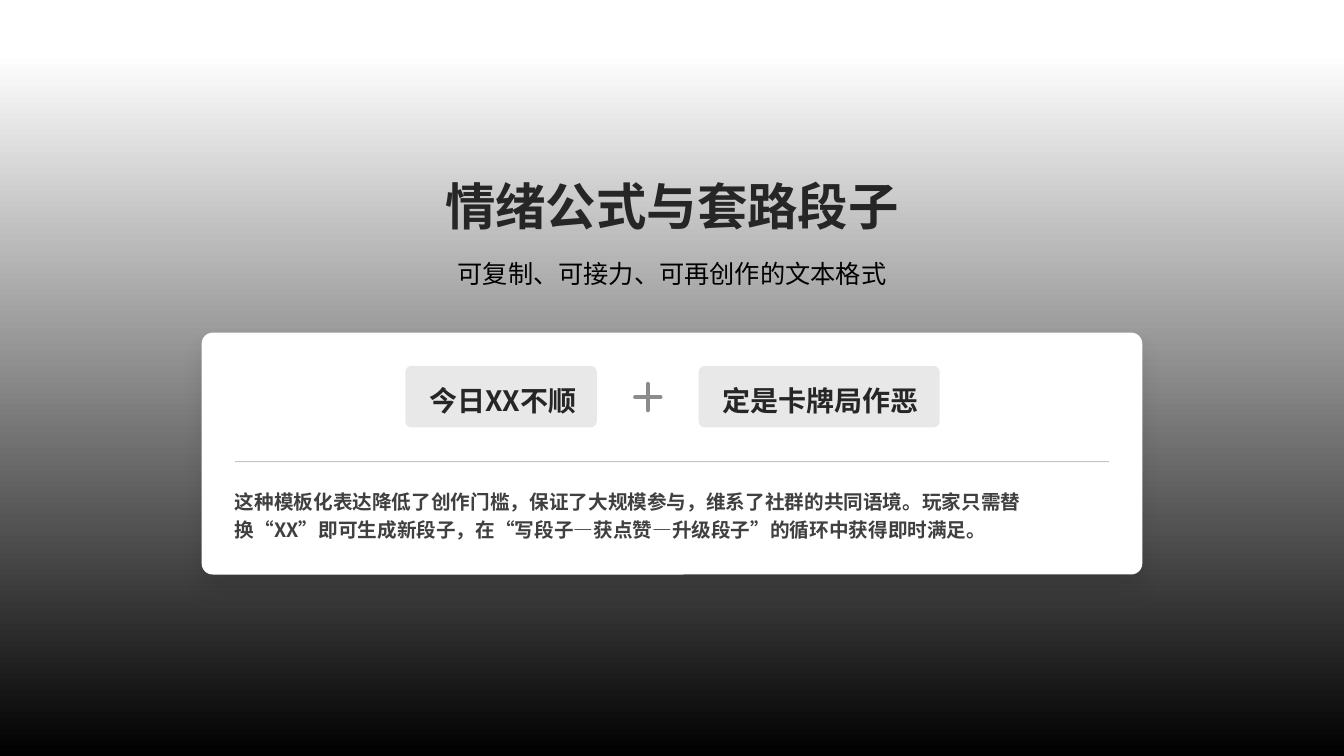
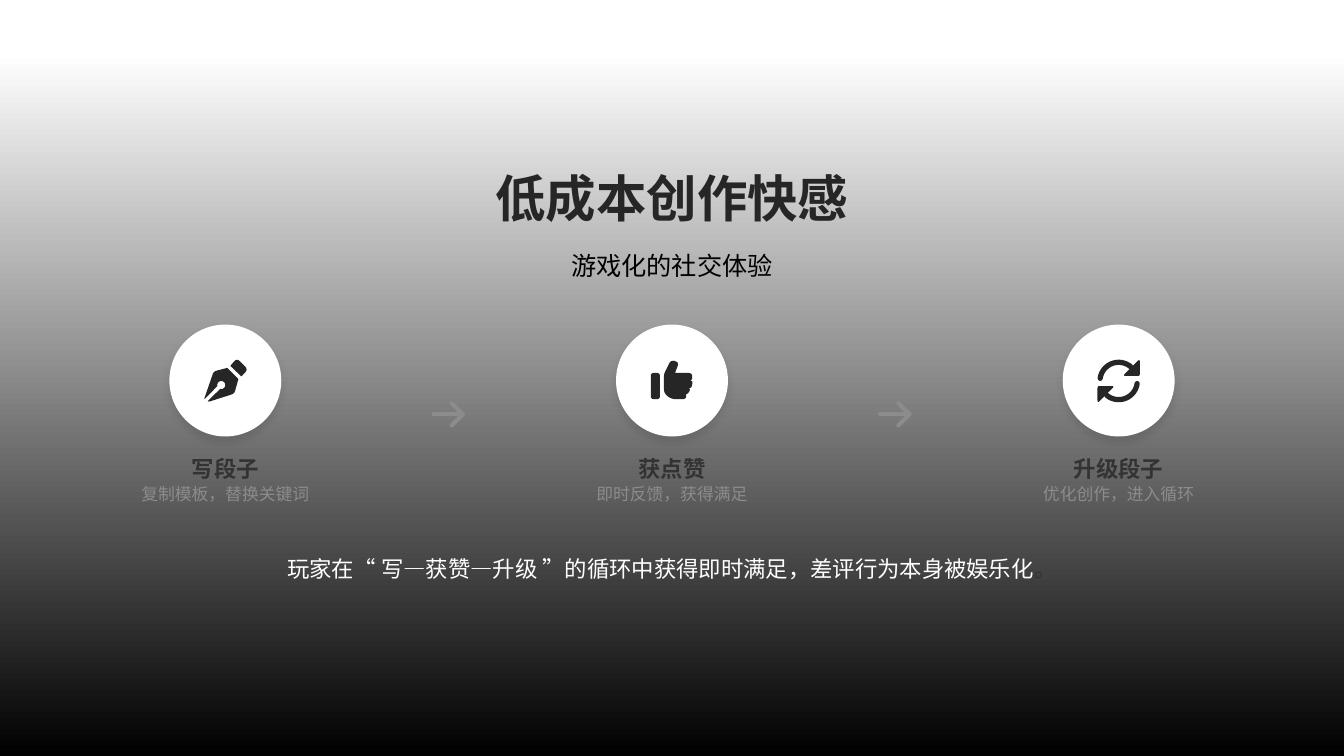
import math

import pptx
import pptx.dml.color
import pptx.enum.shapes
import pptx.enum.text
import pptx.oxml
import pptx.oxml.ns
import pptx.util
from lxml import etree

Inches = pptx.util.Inches
Pt = pptx.util.Pt
qn = pptx.oxml.ns.qn
MSO_SHAPE = pptx.enum.shapes.MSO_SHAPE
ALIGN = pptx.enum.text.PP_ALIGN

FONT = "Noto Sans CJK SC"
SLIDE_W, SLIDE_H = 13.33, 7.5
CENTER = SLIDE_W / 2
COLORS = {
    "white": "FFFFFF",
    "black": "000000",
    "ink": "262626",
    "label": "333333",
    "body": "404040",
    "grey": "8C8C8C",
}
STEP_GAP = 4.43
STEPS = [
    ("写段子", "复制模板，替换关键词"),
    ("获点赞", "即时反馈，获得满足"),
    ("升级段子", "优化创作，进入循环"),
]


def rgb(name):
    return pptx.dml.color.RGBColor.from_string(COLORS[name])


def set_alpha(sp, percent):
    for clr in sp._element.spPr.iter(qn("a:srgbClr")):
        etree.SubElement(clr, qn("a:alpha")).set("val", str(percent * 1000))


def add_shadow(sp, blur, dist):
    effects = sp._element.spPr.find(qn("a:effectLst"))
    shadow = etree.SubElement(effects, qn("a:outerShdw"), blurRad=str(Pt(blur)),
                              dist=str(Pt(dist)), dir="5400000", algn="t", rotWithShape="0")
    clr = etree.SubElement(shadow, qn("a:srgbClr"), val=COLORS["black"])
    etree.SubElement(clr, qn("a:alpha"), val="10000")


def write_text(tf, text, size=12, color="ink", bold=False, align=ALIGN.CENTER,
               spacing=1.2, insets=(0, 0, 0, 0)):
    tf.word_wrap = True
    tf.vertical_anchor = pptx.enum.text.MSO_ANCHOR.MIDDLE
    tf.margin_left, tf.margin_top, tf.margin_right, tf.margin_bottom = map(Inches, insets)
    p = tf.paragraphs[0]
    p.alignment = align
    p.line_spacing = spacing
    runs = [(text, color)] if isinstance(text, str) else text
    for run_text, run_color in runs:
        r = p.add_run()
        r.text = run_text
        r.font.size = Pt(size)
        r.font.bold = bold
        r.font.color.rgb = rgb(run_color)
        r.font.name = FONT
        etree.SubElement(r._r.get_or_add_rPr(), qn("a:ea"), typeface=FONT)


def add_text(s, text, x, y, w, h, **style):
    box = s.shapes.add_textbox(Inches(x), Inches(y), Inches(w), Inches(h))
    write_text(box.text_frame, text, **style)


def add_centered(s, text, cx, y, w, h, **style):
    add_text(s, text, cx - w / 2, y, w, h, **style)


def add_panel(s, kind, x, y, w, h, color, radius=None):
    sp = s.shapes.add_shape(kind, Inches(x), Inches(y), Inches(w), Inches(h))
    if radius:
        sp.adjustments[0] = radius / min(w, h)
    sp.shadow.inherit = False
    sp.fill.solid()
    sp.fill.fore_color.rgb = rgb(color)
    sp.line.fill.background()
    return sp


def add_pill(s, text, x, w):
    sp = add_panel(s, MSO_SHAPE.ROUNDED_RECTANGLE, x, 3.63, w, 0.61, "grey", radius=0.06)
    set_alpha(sp, 20)
    write_text(sp.text_frame, text, size=20, bold=True, align=ALIGN.LEFT,
               insets=(0.22, 0.11, 0, 0.11))


def arc(cx, cy, r, start, end, count=24):
    angles = [math.radians(start + (end - start) * i / count) for i in range(count + 1)]
    return [(cx + r * math.cos(a), cy + r * math.sin(a)) for a in angles]


def rounded(corners):
    points = []
    for i, (x, y, r) in enumerate(corners):
        ends = []
        for nx, ny, _ in (corners[i - 1], corners[(i + 1) % len(corners)]):
            length = math.dist((x, y), (nx, ny))
            t = min(r / length, 0.5)
            ends.append((x + (nx - x) * t, y + (ny - y) * t))
        (ax, ay), (bx, by) = ends
        for t in (0, 0.25, 0.5, 0.75, 1):
            a, m, b = (1 - t) ** 2, 2 * t * (1 - t), t ** 2
            points.append((a * ax + m * x + b * bx, a * ay + m * y + b * by))
    return points


def add_icon(s, x, y, contours, color, stroke=None):
    placed = [[(Inches(x + px / 100), Inches(y + py / 100)) for px, py in contour]
              for contour in contours]
    builder = s.shapes.build_freeform(*placed[0][0], scale=1.0)
    for i, points in enumerate(placed):
        if i:
            builder.move_to(*points[0])
        builder.add_line_segments(points[1:], close=stroke is None)
    sp = builder.convert_to_shape()
    sp.shadow.inherit = False
    if stroke is None:
        sp.fill.solid()
        sp.fill.fore_color.rgb = rgb(color)
        sp.line.fill.background()
    else:
        sp.fill.background()
        sp.line.color.rgb = rgb(color)
        sp.line.width = Pt(stroke)
        ln = sp.line._get_or_add_ln()
        ln.set("cap", "rnd")
        etree.SubElement(ln, qn("a:round"))


def add_pen(s, x, y):
    cap = rounded([(26, 6, 0.5), (37, 16.5, 0.5), (43.5, 9.5, 4), (32.5, -1.5, 4)])
    nib = [(23, 8)] + rounded([(23, 8, 0), (9.5, 11.5, 3), (0, 39, 1), (1.5, 38, 0)])[5:]
    hole = arc(17, 25, 4, 165, 465)
    tail = rounded([(3.5, 41, 0), (5, 41.5, 1), (30, 33.5, 3), (34, 19, 0)])
    add_icon(s, x, y, [cap, nib + hole + tail], "ink")


def add_thumb(s, x, y):
    cuff = rounded([(0, 13, 3), (9, 13, 3), (9, 39, 3), (0, 39, 3)])
    hand = rounded([
        (13, 14, 3), (20, 0, 4), (28, 2.5, 4), (24, 13, 0), (41, 13, 4),
        (41, 19.5, 2), (39, 20.3, 0.3), (41.5, 21.5, 1.5), (40.5, 27.5, 3),
        (38, 28, 0.3), (39, 30, 1.5), (36.5, 33.8, 1.5), (35, 34, 0.3),
        (35, 39, 4), (20, 39, 5), (13, 33, 4),
    ])
    add_icon(s, x, y, [cuff, hand], "ink")


def add_refresh(s, x, y):
    def with_turned(points):
        return [points, [(42 - px, 42 - py) for px, py in points]]

    head = rounded([(42, -1, 3), (42, 16, 2), (25, 16, 3)])
    add_icon(s, x, y, with_turned(arc(21, 21, 18.5, 188, 310)), "ink", stroke=3.75)
    add_icon(s, x, y, with_turned(head), "ink")


def add_divider(s, x1, x2, y):
    line = s.shapes.add_connector(pptx.enum.shapes.MSO_CONNECTOR.STRAIGHT,
                                  Inches(x1), Inches(y), Inches(x2), Inches(y))
    line.line.color.rgb = rgb("grey")
    line.line.width = Pt(0.67)
    set_alpha(line, 50)
    etree.SubElement(line._element.spPr, qn("a:effectLst"))


def add_slide(prs, title, subtitle, top):
    s = prs.slides.add_slide(prs.slide_layouts[6])
    fill = s.background.fill
    fill.gradient()
    fill.gradient_angle = 270
    for stop, (position, color) in zip(fill.gradient_stops, [(0.07, "white"), (1, "black")]):
        stop.position = position
        stop.color.rgb = rgb(color)
    add_centered(s, title, CENTER, top, 13, 0.56, size=36, bold=True, spacing=0.9)
    add_centered(s, subtitle, CENTER, top + 0.67, 13, 0.39, size=18, color="black", spacing=1.3)
    return s


def formula_slide(prs):
    s = add_slide(prs, "情绪公式与套路段子", "可复制、可接力、可再创作的文本格式", 1.8)
    card = add_panel(s, MSO_SHAPE.ROUNDED_RECTANGLE, 2, 3.3, 9.33, 2.4, "white", radius=0.11)
    add_shadow(card, 15, 10)
    add_pill(s, "今日XX不顺", 4.02, 1.9)
    add_icon(s, 6.28, 3.79, [[(2, 15), (27, 15)], [(14.5, 2), (14.5, 28)]], "grey", stroke=3)
    add_pill(s, "定是卡牌局作恶", 6.93, 2.39)
    add_divider(s, 2.33, 11, 4.58)
    add_text(s, "这种模板化表达降低了创作门槛，保证了大规模参与，维系了社群的共同语境。"
                "玩家只需替换“XX”即可生成新段子，在“写段子—获点赞—升级段子”的循环中获得即时满足。",
             2.33, 4.81, 8.76, 0.56, size=14, color="body", bold=True, align=ALIGN.LEFT)


def loop_slide(prs):
    s = add_slide(prs, "低成本创作快感", "游戏化的社交体验", 1.72)
    icons = (add_pen, add_thumb, add_refresh)
    arrow = [[(2, 17), (31, 17)], [(20, 6), (31, 17), (20, 28)]]
    for i, ((label, detail), draw_icon) in enumerate(zip(STEPS, icons)):
        cx = CENTER + (i - 1) * STEP_GAP
        disc = add_panel(s, MSO_SHAPE.OVAL, cx - 0.555, 3.22, 1.11, 1.11, "white")
        add_shadow(disc, 6, 4)
        draw_icon(s, cx - 0.21, 3.57)
        add_centered(s, label, cx, 4.44, 2.2, 0.33, size=16, color="label", bold=True, spacing=1.3)
        add_centered(s, detail, cx, 4.78, 2.2, 0.22, size=12, color="grey", spacing=1.1)
        if i < len(STEPS) - 1:
            add_icon(s, cx + STEP_GAP / 2 - 0.17, 3.94, arrow, "grey", stroke=3)
    closing = [("玩家在“ 写—获赞—升级 ”的循环中获得即时满足，差评行为本身被娱乐化", "white"),
               ("。", "label")]
    add_centered(s, closing, CENTER, 5.44, 12.9, 0.33, size=16, spacing=1.3)


def main():
    prs = pptx.Presentation()
    prs.slide_width, prs.slide_height = Inches(SLIDE_W), Inches(SLIDE_H)
    formula_slide(prs)
    loop_slide(prs)
    prs.save("out.pptx")


if __name__ == "__main__":
    main()
